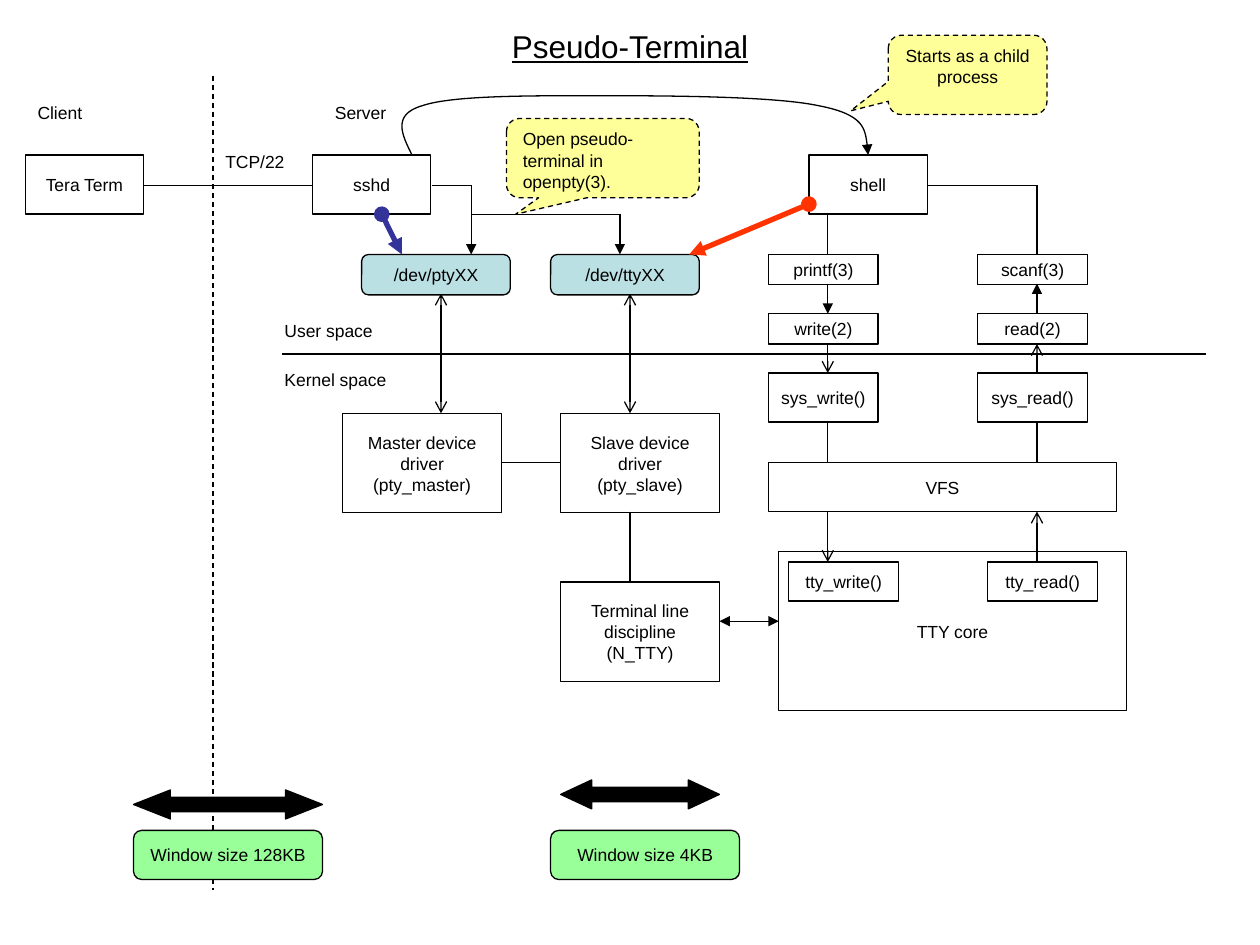
"""Build the pseudo-terminal architecture slide."""
from dataclasses import dataclass

import lxml.etree
import pptx
import pptx.dml.color
import pptx.enum.dml
import pptx.enum.shapes
import pptx.enum.text
import pptx.oxml.ns
import pptx.util

Inches = pptx.util.Inches
Kind = pptx.enum.shapes.MSO_SHAPE
Align = pptx.enum.text.PP_ALIGN
Anchor = pptx.enum.text.MSO_ANCHOR
qn = pptx.oxml.ns.qn

BLACK, TEAL, YELLOW, GREEN = "000000", "BBE0E3", "FFFF99", "99FF99"
WRITE_X, READ_X = 6.57, 8.23


@dataclass(frozen=True)
class Node:
    """A shape of the diagram, with its text."""
    text: str
    left: float
    top: float
    width: float
    height: float
    kind: Kind = Kind.RECTANGLE
    fill: str = ""
    adjustments: tuple[float, ...] = ()
    dashed: bool = False
    wrap: bool = False
    align: Align = Align.CENTER
    anchor: Anchor = Anchor.MIDDLE


@dataclass(frozen=True)
class Link:
    """A straight line with optional end markers."""
    x1: float
    y1: float
    x2: float
    y2: float
    head: str = ""
    tail: str = ""
    color: str = BLACK
    weight: float = 0.75
    dashed: bool = False


@dataclass(frozen=True)
class Label:
    """A short caption without a frame."""
    text: str
    left: float
    top: float
    width: float = 0.94


def rgb(color: str) -> pptx.dml.color.RGBColor:
    """Turn a hex string into a colour."""
    return pptx.dml.color.RGBColor.from_string(color)


def style_line(line, color: str = BLACK, weight: float = 0.75, dashed: bool = False) -> None:
    """Set the colour, weight and dash of an outline."""
    line.color.rgb = rgb(color)
    line.width = pptx.util.Pt(weight)
    if dashed:
        line.dash_style = pptx.enum.dml.MSO_LINE.DASH


def add_markers(shape, head: str, tail: str) -> None:
    """Put markers on the ends of a line."""
    outline = shape._element.spPr.find(qn("a:ln"))
    for tag, marker in (("a:headEnd", head), ("a:tailEnd", tail)):
        if marker:
            lxml.etree.SubElement(outline, qn(tag), type=marker)


def write_text(frame, text: str, size: float = 10, align: Align = Align.LEFT,
               anchor: Anchor = Anchor.TOP, wrap: bool = True, underline: bool = False) -> None:
    """Fill a text frame and format its paragraphs."""
    frame.text = text
    frame.word_wrap = wrap
    frame.vertical_anchor = anchor
    for paragraph in frame.paragraphs:
        paragraph.alignment = align
        for run in paragraph.runs:
            run.font.name = "Arial"
            run.font.size = pptx.util.Pt(size)
            run.font.color.rgb = rgb(BLACK)
            run.font.underline = underline


def draw_node(slide, node: Node) -> None:
    """Draw one shape and its text."""
    shape = slide.shapes.add_shape(
        node.kind, *map(Inches, (node.left, node.top, node.width, node.height)))
    shape.shadow.inherit = False
    for index, value in enumerate(node.adjustments):
        shape.adjustments[index] = value
    if node.fill:
        shape.fill.solid()
        shape.fill.fore_color.rgb = rgb(node.fill)
    else:
        shape.fill.background()
    style_line(shape.line, dashed=node.dashed)
    if node.text:
        write_text(shape.text_frame, node.text, align=node.align,
                   anchor=node.anchor, wrap=node.wrap)


def draw_link(slide, link: Link) -> None:
    """Draw one straight line."""
    connector = slide.shapes.add_connector(
        pptx.enum.shapes.MSO_CONNECTOR.STRAIGHT,
        *map(Inches, (link.x1, link.y1, link.x2, link.y2)))
    style_line(connector.line, link.color, link.weight, link.dashed)
    add_markers(connector, link.head, link.tail)
    lxml.etree.SubElement(connector._element.spPr, qn("a:effectLst"))


def draw_label(slide, label: Label) -> None:
    """Draw one caption."""
    box = slide.shapes.add_textbox(*map(Inches, (label.left, label.top, label.width, 0.27)))
    write_text(box.text_frame, label.text)


def draw_curve(slide, points: list[tuple[float, float]], tail: str) -> None:
    """Draw a chain of cubic curves through a start point and triples of points."""
    start_point, *others = [(Inches(x), Inches(y)) for x, y in points]
    builder = slide.shapes.build_freeform(*start_point)
    builder.add_line_segments(others, close=False)
    curve = builder.convert_to_shape()
    curve.shadow.inherit = False
    curve.fill.background()
    style_line(curve.line)
    add_markers(curve, "", tail)
    segments = list(curve._element.iter(qn("a:lnTo")))
    for start in range(0, len(segments), 3):
        bezier = lxml.etree.Element(qn("a:cubicBezTo"))
        segments[start].addprevious(bezier)
        for segment in segments[start:start + 3]:
            bezier.append(segment[0])
            segment.getparent().remove(segment)


def device(text: str, left: float) -> Node:
    """Describe a device file."""
    return Node(text, left, 2.02, 1.18, 0.32, Kind.ROUNDED_RECTANGLE, TEAL)


def driver(text: str, left: float, top: float) -> Node:
    """Describe a kernel driver."""
    return Node(text, left, top, 1.26, 0.79)


def window(text: str, left: float) -> Node:
    """Describe a window size."""
    return Node(text, left, 6.59, 1.5, 0.39, Kind.ROUNDED_RECTANGLE, GREEN)


def span(left: float, top: float, width: float, head_length: float) -> Node:
    """Describe a wide double arrow."""
    return Node("", left, top, width, 0.23, Kind.LEFT_RIGHT_ARROW, BLACK, (0.5, head_length))


def callout(text: str, left: float, top: float, width: float,
            tip: tuple[float, float], align: Align) -> Node:
    """Describe a dashed callout."""
    return Node(text, left, top, width, 0.63, Kind.ROUNDED_RECTANGULAR_CALLOUT, YELLOW,
                (*tip, 0.167), True, True, align, Anchor.TOP)


LABELS = [Label("Client", 0.2, 0.76), Label("Server", 2.56, 0.76),
          Label("TCP/22", 1.69, 1.15, 0.79), Label("User space", 2.16, 2.49),
          Label("Kernel space", 2.16, 2.88, 1.1)]
PROGRAMS = [Node(text, left, 1.23, 0.94, 0.47)
            for text, left in (("Tera Term", 0.2), ("sshd", 2.48), ("shell", 6.42))]
CALLS = [Node(text, left, top, 0.87, height)
         for top, height, write, read, write_left, read_left in (
             (2.02, 0.24, "printf(3)", "scanf(3)", 6.1, 7.76),
             (2.49, 0.24, "write(2)", "read(2)", 6.1, 7.76),
             (2.96, 0.39, "sys_write()", "sys_read()", 6.1, 7.76),
             (4.46, 0.31, "tty_write()", "tty_read()", 6.26, 7.84))
         for text, left in ((write, write_left), (read, read_left))]
NODES = [
    *PROGRAMS, device("/dev/ptyXX", 2.87), device("/dev/ttyXX", 4.37),
    driver("Master device\ndriver\n(pty_master)", 2.72, 3.28),
    driver("Slave device\ndriver\n(pty_slave)", 4.45, 3.28),
    driver("Terminal line\ndiscipline\n(N_TTY)", 4.45, 4.62),
    Node("VFS", 6.1, 3.67, 2.76, 0.39), Node("TTY core", 6.18, 4.38, 2.76, 1.26), *CALLS,
    callout("Open pseudo-terminal in openpty(3).", 4.02, 0.94, 1.53, (-0.452, 0.707), Align.LEFT),
    callout("Starts as a child process", 7.05, 0.28, 1.26, (-0.737, 0.453), Align.CENTER),
    span(1.06, 6.27, 1.5, 1.272), window("Window size 128KB", 1.06),
    span(4.45, 6.19, 1.26, 1.071), window("Window size 4KB", 4.37)]
CALL_STEPS = [(2.25, 2.49, "triangle"), (2.73, 2.96, "arrow"),
              (3.36, 3.67, ""), (4.06, 4.46, "arrow")]
LINKS = [
    Link(2.24, 2.81, 9.57, 2.81), Link(1.69, 0.6, 1.69, 7.06, dashed=True),
    Link(1.14, 1.47, 2.48, 1.47), Link(3.43, 1.47, 3.74, 1.47),
    Link(3.74, 1.47, 3.74, 2.02, tail="triangle"), Link(3.74, 1.7, 4.92, 1.7),
    Link(4.92, 1.7, 4.92, 2.02, tail="triangle"),
    *(Link(x, 2.33, x, 3.28, "arrow", "arrow") for x in (3.5, 5)),
    Link(3.98, 3.67, 4.45, 3.67), Link(5, 4.06, 5, 4.62),
    Link(5.71, 4.93, 6.18, 4.93, "triangle", "triangle"),
    Link(WRITE_X, 1.7, WRITE_X, 2.02),
    Link(7.36, 1.47, READ_X, 1.47), Link(READ_X, 1.47, READ_X, 2.02),
    *(Link(WRITE_X, top, WRITE_X, bottom, tail=marker) for top, bottom, marker in CALL_STEPS),
    *(Link(READ_X, top, READ_X, bottom, head=marker) for top, bottom, marker in CALL_STEPS)]
OPEN_HANDLES = [Link(3.03, 1.7, 3.19, 2.02, "oval", "triangle", "333399", 3),
                Link(6.42, 1.62, 5.47, 2.02, "oval", "triangle", "FF3300", 3)]
FORK = [(3.27, 1.23), (3.19, 1.07), (3.11, 0.91), (3.35, 0.84), (3.58, 0.76), (4.16, 0.76),
        (4.69, 0.76), (5.21, 0.76), (6.13, 0.76), (6.5, 0.84), (6.86, 0.91), (6.88, 1.07),
        (6.89, 1.23)]


def main() -> None:
    """Build and save the slide."""
    deck = pptx.Presentation()
    deck.slide_width, deck.slide_height = Inches(10), Inches(7.5)
    slide = deck.slides.add_slide(deck.slide_layouts[5])
    title = slide.shapes.title
    title.left, title.top, title.width, title.height = map(Inches, (0.75, 0.13, 8.5, 0.47))
    write_text(title.text_frame, "Pseudo-Terminal", 18, Align.CENTER, Anchor.MIDDLE, underline=True)
    for link in LINKS:
        draw_link(slide, link)
    draw_curve(slide, FORK, "triangle")
    for node in NODES:
        draw_node(slide, node)
    for label in LABELS:
        draw_label(slide, label)
    for handle in OPEN_HANDLES:
        draw_link(slide, handle)
    deck.save("out.pptx")


if __name__ == "__main__":
    main()
